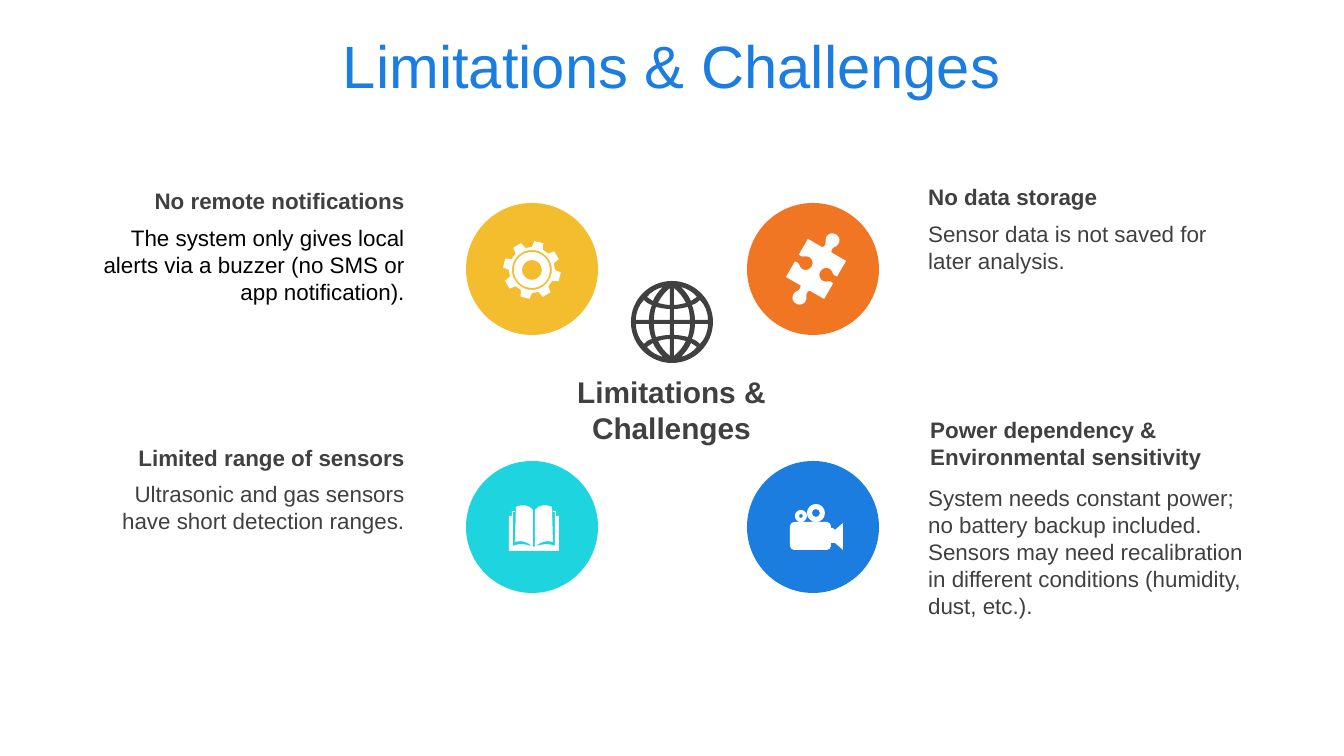
from dataclasses import dataclass
from itertools import product
from math import cos, radians, sin

from pptx import Presentation
from pptx.dml.color import RGBColor
from pptx.enum.shapes import MSO_SHAPE
from pptx.enum.text import MSO_ANCHOR, MSO_AUTO_SIZE, PP_ALIGN
from pptx.oxml.ns import qn
from pptx.util import Emu, Pt

EMU_PER_PX = 914400 / 134.4

# A contour is a start point followed by lines (x, y) and cubic curves (6 numbers).
Contour = list[tuple[float, ...]]


@dataclass(frozen=True)
class Theme:
    font: str = "Arial"
    title_size: int = 32
    hub_size: int = 16
    text_size: int = 12
    blue: str = "1C7DE1"
    yellow: str = "F4BD2D"
    orange: str = "F07624"
    cyan: str = "1ED4DE"
    dark: str = "404040"
    black: str = "000000"
    white: str = "FFFFFF"


THEME = Theme()
DISC = 132
LEFT_DISC, RIGHT_DISC = 466, 747
TOP_DISC, BOTTOM_DISC = 203, 461


@dataclass(frozen=True)
class Box:
    left: int
    top: int
    width: int
    height: int


@dataclass(frozen=True)
class Icon:
    center: tuple[int, int]
    contours: list[Contour]
    rotation: float = 0


@dataclass(frozen=True)
class Topic:
    heading: str
    heading_box: Box
    body: str
    body_box: Box
    align: PP_ALIGN
    disc_at: tuple[int, int]
    disc_color: str
    icon: Icon
    body_color: str = THEME.dark


def px(length: float) -> Emu:
    return Emu(round(length * EMU_PER_PX))


def rgb(color: str) -> RGBColor:
    return RGBColor.from_string(color)


# Outline geometry
def mirror(contour: Contour, sx: int, sy: int) -> Contour:
    return [tuple(v * (sy if i % 2 else sx) for i, v in enumerate(step)) for step in contour]


def circle(r: float, x: float = 0, y: float = 0) -> Contour:
    k = 0.55 * r
    return [(x + r, y), (x + r, y + k, x + k, y + r, x, y + r),
            (x - k, y + r, x - r, y + k, x - r, y),
            (x - r, y - k, x - k, y - r, x, y - r),
            (x + k, y - r, x + r, y - k, x + r, y)]


# Icon outlines, in px around each icon's centre
def gear() -> list[Contour]:
    teeth = []
    for tooth in range(8):
        for spread, radius in ((-14, 23), (-9, 29), (9, 29), (14, 23)):
            angle = radians(14 + 45 * tooth + spread)
            teeth.append((radius * sin(angle), -radius * cos(angle)))
    return [teeth, circle(20), circle(18), circle(10)]


def globe() -> list[Contour]:
    quadrant = [
        [(2, 2), (2, 13), (7, 13, 11, 14, 16, 15), (17, 12, 18, 7, 18, 2)],
        [(23, 2), (23, 7, 22, 12, 20, 17), (24, 18, 26, 20, 28, 22), (33, 17, 36, 10, 36, 2)],
        [(2, 17), (6, 17, 10, 18, 14, 19), (11, 25, 7, 30, 2, 34)],
        [(19, 21), (17, 26, 13, 31, 9, 35), (16, 33, 21, 30, 25, 25), (23, 24, 21, 22, 19, 21)],
    ]
    return [circle(41)] + [mirror(cell, sx, sy)
                           for cell, sx, sy in product(quadrant, (1, -1), (1, -1))]


def puzzle() -> list[Contour]:
    half = [(0, -40), (4, -40, 7, -37, 7, -33), (7, -28, 2, -28, 5, -22), (22, -22), (22, -4),
            (17, -2, 16, -7, 12, -7), (8, -7, 5, -4, 5, 0), (5, 4, 8, 7, 12, 7),
            (16, 7, 17, 2, 22, 4), (22, 22), (5, 22), (2, 28, 7, 28, 7, 33),
            (7, 37, 4, 40, 0, 40)]
    return [half + mirror(half, -1, -1)[1:]]


def book() -> list[Contour]:
    page = [(1, -18), (5, -23, 11, -24, 18, -21), (19, 14), (12, 12, 6, 14, 1, 19)]
    cover = [(0, 23), (0, 19), (9, 16, 13, 15, 21, 18), (21, -16), (19, -16), (19, -17),
             (22, -17), (22, -12), (25, -12), (25, 23)]
    return [mirror(part, side, 1) for part, side in product((page, cover), (1, -1))]


def camera() -> list[Contour]:
    body = [(-23, -6), (10, -6), (12, -6, 14, -4, 14, -2), (14, 0), (16, 0), (18, 2),
            (26, -5), (26, 22), (18, 15), (14, 15), (14, 18), (14, 20, 12, 22, 10, 22),
            (-23, 22), (-25, 22, -27, 20, -27, 18), (-27, -2), (-27, -4, -25, -6, -23, -6)]
    reels = [circle(radius, x, y) for x, y, radius in
             ((-1, -15, 9), (-1, -15, 4), (-16, -12, 6), (-16, -12, 2))]
    return [body] + reels


# Drawing
def paint(shape, color: str) -> None:
    shape.shadow.inherit = False
    shape.fill.solid()
    shape.fill.fore_color.rgb = rgb(color)
    shape.line.fill.background()


def bend_curves(shape, contours: list[Contour]) -> None:
    """Join the three lines laid through each curve's points into one cubic curve."""
    outline = next(shape._element.iter(qn("a:path")))
    lines = iter(outline.findall(qn("a:lnTo")))
    for contour in contours:
        for step in contour[1:]:
            first = next(lines)
            if len(step) == 6:
                curve = outline.makeelement(qn("a:cubicBezTo"))
                first.addprevious(curve)
                for line in (first, next(lines), next(lines)):
                    curve.append(line[0])
                    outline.remove(line)


def draw_icon(shapes, icon: Icon, color: str) -> None:
    cx, cy = icon.center
    outlines = [[(px(cx + step[i]), px(cy + step[i + 1]))
                 for step in contour for i in range(0, len(step), 2)]
                for contour in icon.contours]
    builder = shapes.build_freeform(*outlines[0][0], scale=1.0)
    builder.add_line_segments(outlines[0][1:], close=True)
    for outline in outlines[1:]:
        builder.move_to(*outline[0])
        builder.add_line_segments(outline[1:], close=True)
    shape = builder.convert_to_shape()
    bend_curves(shape, icon.contours)
    shape.rotation = icon.rotation
    paint(shape, color)


def write(frame, text: str, size: int, color: str, align: PP_ALIGN, bold: bool = False) -> None:
    paragraph = frame.paragraphs[0]
    paragraph.alignment = align
    run = paragraph.add_run()
    run.text = text
    run.font.name, run.font.size, run.font.bold = THEME.font, Pt(size), bold
    run.font.color.rgb = rgb(color)


def draw_text(shapes, box: Box, text: str, size: int, color: str, align: PP_ALIGN,
              bold: bool = False) -> None:
    frame = shapes.add_textbox(px(box.left), px(box.top), px(box.width), px(box.height)).text_frame
    frame.word_wrap = True
    frame.auto_size = MSO_AUTO_SIZE.SHAPE_TO_FIT_TEXT
    write(frame, text, size, color, align, bold)


def draw_topic(shapes, topic: Topic) -> None:
    left, top = topic.disc_at
    disc = shapes.add_shape(MSO_SHAPE.OVAL, px(left), px(top), px(DISC), px(DISC))
    paint(disc, topic.disc_color)
    draw_icon(shapes, topic.icon, THEME.white)
    pair = shapes.add_group_shape().shapes
    draw_text(pair, topic.heading_box, topic.heading, THEME.text_size, THEME.dark,
              topic.align, bold=True)
    draw_text(pair, topic.body_box, topic.body, THEME.text_size, topic.body_color, topic.align)


def main() -> None:
    topics = (
        Topic("No remote notifications", Box(69, 181, 349, 40),
              "The system only gives local alerts via a buzzer (no SMS or app notification).",
              Box(69, 218, 349, 95), PP_ALIGN.RIGHT, (LEFT_DISC, TOP_DISC), THEME.yellow,
              Icon((532, 270), gear()), THEME.black),
        Topic("No data storage", Box(915, 177, 349, 40),
              "Sensor data is not saved for later analysis.",
              Box(915, 214, 349, 67), PP_ALIGN.LEFT, (RIGHT_DISC, TOP_DISC), THEME.orange,
              Icon((816, 269), puzzle(), 29.9)),
        Topic("Limited range of sensors", Box(69, 438, 349, 40),
              "Ultrasonic and gas sensors have short detection ranges.",
              Box(69, 474, 349, 67), PP_ALIGN.RIGHT, (LEFT_DISC, BOTTOM_DISC), THEME.cyan,
              Icon((534, 528), book())),
        Topic("Power dependency & Environmental sensitivity", Box(917, 410, 371, 67),
              "System needs constant power; no battery backup included. Sensors may need "
              "recalibration in different conditions (humidity, dust, etc.).",
              Box(915, 478, 349, 149), PP_ALIGN.LEFT, (RIGHT_DISC, BOTTOM_DISC), THEME.blue,
              Icon((817, 528), camera())),
    )
    deck = Presentation()
    deck.slide_width, deck.slide_height = px(1344), px(756)
    slide = deck.slides.add_slide(deck.slide_layouts[5])

    # Title
    title = slide.shapes.title
    title.left, title.top, title.width, title.height = px(0), px(0), px(1344), px(130)
    title.text_frame.auto_size = MSO_AUTO_SIZE.NONE
    title.text_frame.vertical_anchor = MSO_ANCHOR.MIDDLE
    write(title.text_frame, "Limitations & Challenges", THEME.title_size, THEME.blue,
          PP_ALIGN.CENTER)

    # Hub
    draw_text(slide.shapes, Box(552, 367, 239, 86), "Limitations & Challenges",
              THEME.hub_size, THEME.dark, PP_ALIGN.CENTER, bold=True)
    draw_icon(slide.shapes, Icon((672, 322), globe()), THEME.dark)

    # Four topics around the hub
    for topic in topics:
        draw_topic(slide.shapes, topic)

    deck.save("out.pptx")


if __name__ == "__main__":
    main()
